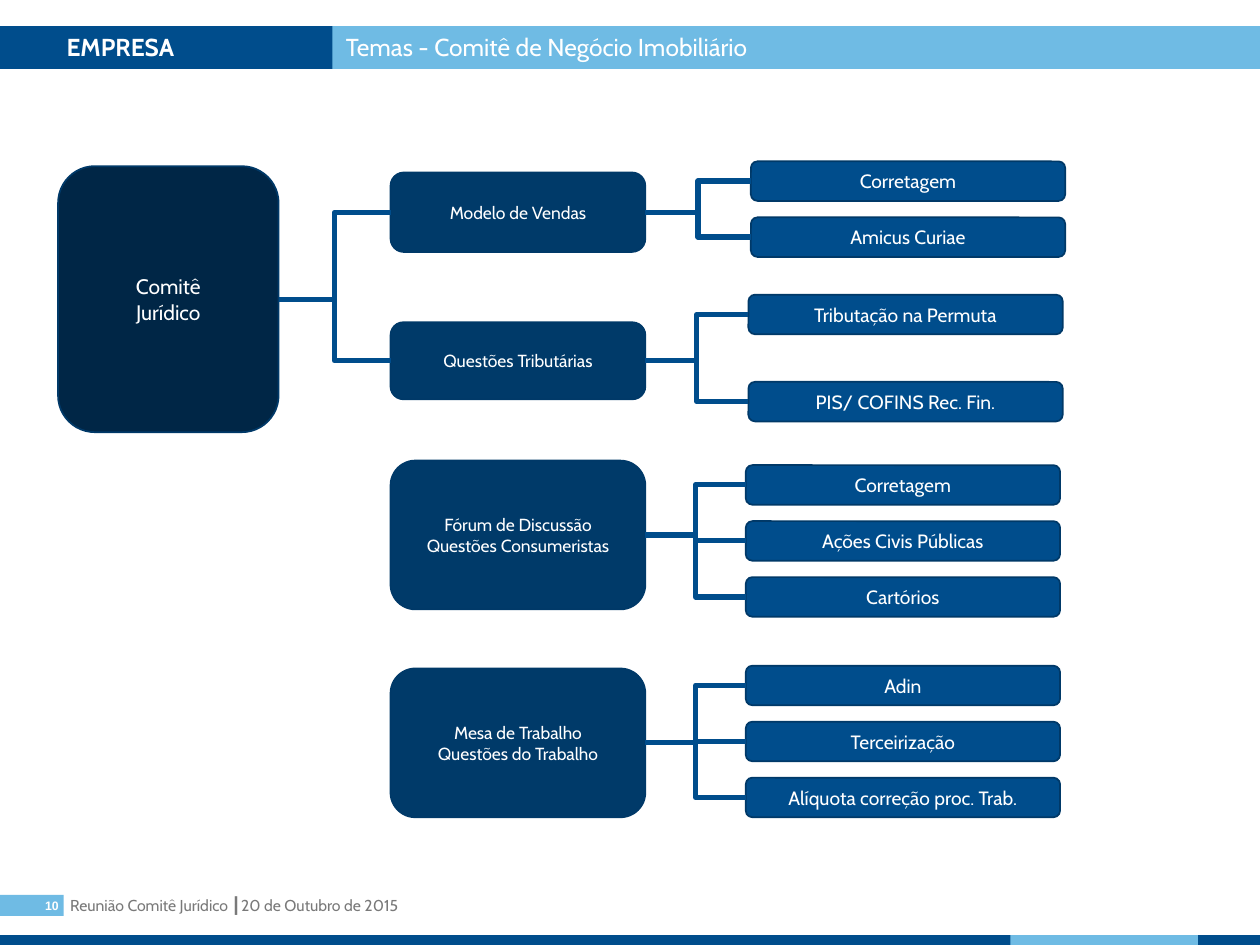
from dataclasses import dataclass

from lxml import etree
from pptx import Presentation
from pptx.dml.color import RGBColor
from pptx.enum.shapes import MSO_CONNECTOR, MSO_SHAPE
from pptx.enum.text import MSO_ANCHOR, PP_ALIGN
from pptx.oxml.ns import qn
from pptx.util import Pt

RECT, ROUND = MSO_SHAPE.RECTANGLE, MSO_SHAPE.ROUNDED_RECTANGLE
ELBOW = MSO_CONNECTOR.ELBOW
TOP, MIDDLE = MSO_ANCHOR.TOP, MSO_ANCHOR.MIDDLE
LEFT, CENTER, RIGHT = PP_ALIGN.LEFT, PP_ALIGN.CENTER, PP_ALIGN.RIGHT
LEFT_SITE, RIGHT_SITE = 1, 3

COLORS = {
    "sky": "6FBBE4", "blue": "004D8C", "edge": "003968",
    "root": "002646", "branch": "003A69", "white": "FFFFFF", "gray": "797979",
}


@dataclass
class Box:
    left: float
    top: float
    width: float
    height: float


@dataclass
class Style:
    size: float
    color: str = "white"
    font: str = "Cabin"
    bold: bool = False
    align: PP_ALIGN = CENTER
    anchor: MSO_ANCHOR = MIDDLE
    inset: tuple = (7.2, 3.6, 7.2, 3.6)


@dataclass
class Branch:
    """A theme, its place, and the column of topics to its right."""
    lines: list[str]
    top: float
    height: float
    leaf_x: float
    leaf_y: float
    pitch: float
    leaves: list[str]
    joined: bool = False


BRANCHES = [
    Branch(["Modelo de Vendas"], 98.6, 45.4, 429.1, 92.2, 32,
           ["Corretagem", "Amicus Curiae"], True),
    Branch(["Questões Tributárias"], 184.2, 44, 427.7, 168.4, 49.8,
           ["Tributação na Permuta", "PIS/ COFINS Rec. Fin."], True),
    Branch(["Fórum de Discussão", "Questões Consumeristas"], 263.2, 85,
           426.2, 265.8, 32,
           ["Corretagem", "Ações Civis Públicas", "Cartórios"]),
    Branch(["Mesa de Trabalho", "Questões do Trabalho"], 382, 85,
           426.2, 380.4, 32,
           ["Adin", "Terceirização", "Alíquota correção proc. Trab."]),
]


def color(name: str) -> RGBColor:
    return RGBColor.from_string(COLORS[name])


def write(shape, lines: list[str], style: Style) -> None:
    frame = shape.text_frame
    frame.word_wrap = True
    frame.vertical_anchor = style.anchor
    (frame.margin_left, frame.margin_top,
     frame.margin_right, frame.margin_bottom) = map(Pt, style.inset)
    for i, line in enumerate(lines):
        para = frame.add_paragraph() if i else frame.paragraphs[0]
        para.alignment = style.align
        run = para.add_run()
        run.text = line
        font = run.font
        font.name, font.size, font.bold = style.font, Pt(style.size), style.bold
        font.color.rgb = color(style.color)


def place(box: Box) -> list[Pt]:
    return [Pt(v) for v in (box.left, box.top, box.width, box.height)]


def add_bar(slide, box: Box, fill: str):
    bar = slide.shapes.add_shape(RECT, *place(box))
    bar.shadow.inherit = False
    bar.fill.solid()
    bar.fill.fore_color.rgb = color(fill)
    bar.line.fill.background()
    return bar


def add_node(slide, box: Box, fill: str, lines: list[str], size: float):
    node = slide.shapes.add_shape(ROUND, *place(box))
    node.shadow.inherit = False
    node.fill.solid()
    node.fill.fore_color.rgb = color(fill)
    node.line.color.rgb = color("edge")
    node.line.width = Pt(1)
    write(node, lines, Style(size))
    return node


def join(slide, start, end) -> None:
    """Link the right side of one node to the left side of the next."""
    link = slide.shapes.add_connector(ELBOW, 0, 0, 0, 0)
    link.begin_connect(start, RIGHT_SITE)
    link.end_connect(end, LEFT_SITE)
    link.line.color.rgb = color("blue")
    link.line.width = Pt(3)
    etree.SubElement(link._element.spPr, qn("a:effectLst"))


def add_frame(slide) -> None:
    """Draw the header and the footer."""
    title = add_bar(slide, Box(175, 15, 545, 24.4), "sky")
    write(title, ["Temas - Comitê de Negócio Imobiliário"],
          Style(14, align=LEFT, anchor=TOP, inset=(22.6, 3.6, 7.2, 3.6)))
    owner = add_bar(slide, Box(0, 15, 190, 24.4), "blue")
    write(owner, ["EMPRESA"],
          Style(14, bold=True, align=LEFT, anchor=TOP, inset=(38, 3.6, 2.8, 3.6)))

    note = slide.shapes.add_textbox(*place(Box(33, 508.4, 525.6, 18)))
    write(note, ["Reunião Comitê Jurídico ┃20 de Outubro de 2015"],
          Style(9, "gray", align=LEFT, anchor=TOP))
    number = add_bar(slide, Box(0, 511.4, 36.4, 12), "sky")
    write(number, ["10"],
          Style(7, font="Arial", bold=True, align=RIGHT, inset=(0, 0, 2.8, 0)))
    add_bar(slide, Box(0, 534.4, 720, 5.6), "blue")
    add_bar(slide, Box(577.4, 534.4, 107.2, 5.6), "sky")


def add_tree(slide) -> None:
    root = add_node(slide, Box(33.2, 95, 126, 152), "root",
                    ["Comitê", "Jurídico"], 12)
    for item in BRANCHES:
        box = Box(223.2, item.top, 145.6, item.height)
        branch = add_node(slide, box, "branch", item.lines, 10)
        if item.joined:
            join(slide, root, branch)
        for i, text in enumerate(item.leaves):
            spot = Box(item.leaf_x, item.leaf_y + i * item.pitch, 179.6, 22.6)
            join(slide, branch, add_node(slide, spot, "blue", [text], 11))


def main() -> None:
    deck = Presentation()
    deck.slide_width, deck.slide_height = Pt(720), Pt(540)
    slide = deck.slides.add_slide(deck.slide_layouts[6])
    add_frame(slide)
    add_tree(slide)
    deck.save("out.pptx")


if __name__ == "__main__":
    main()
